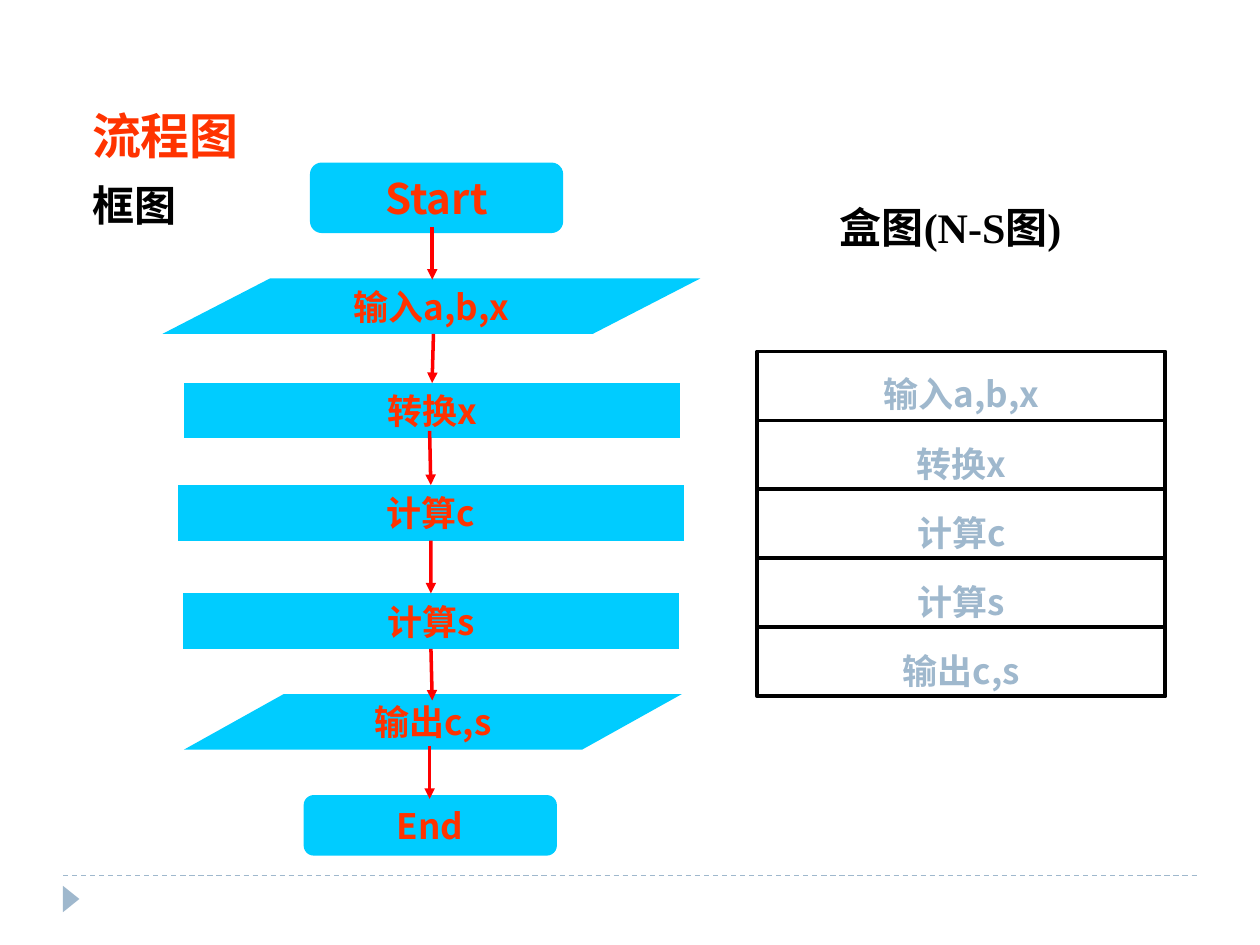
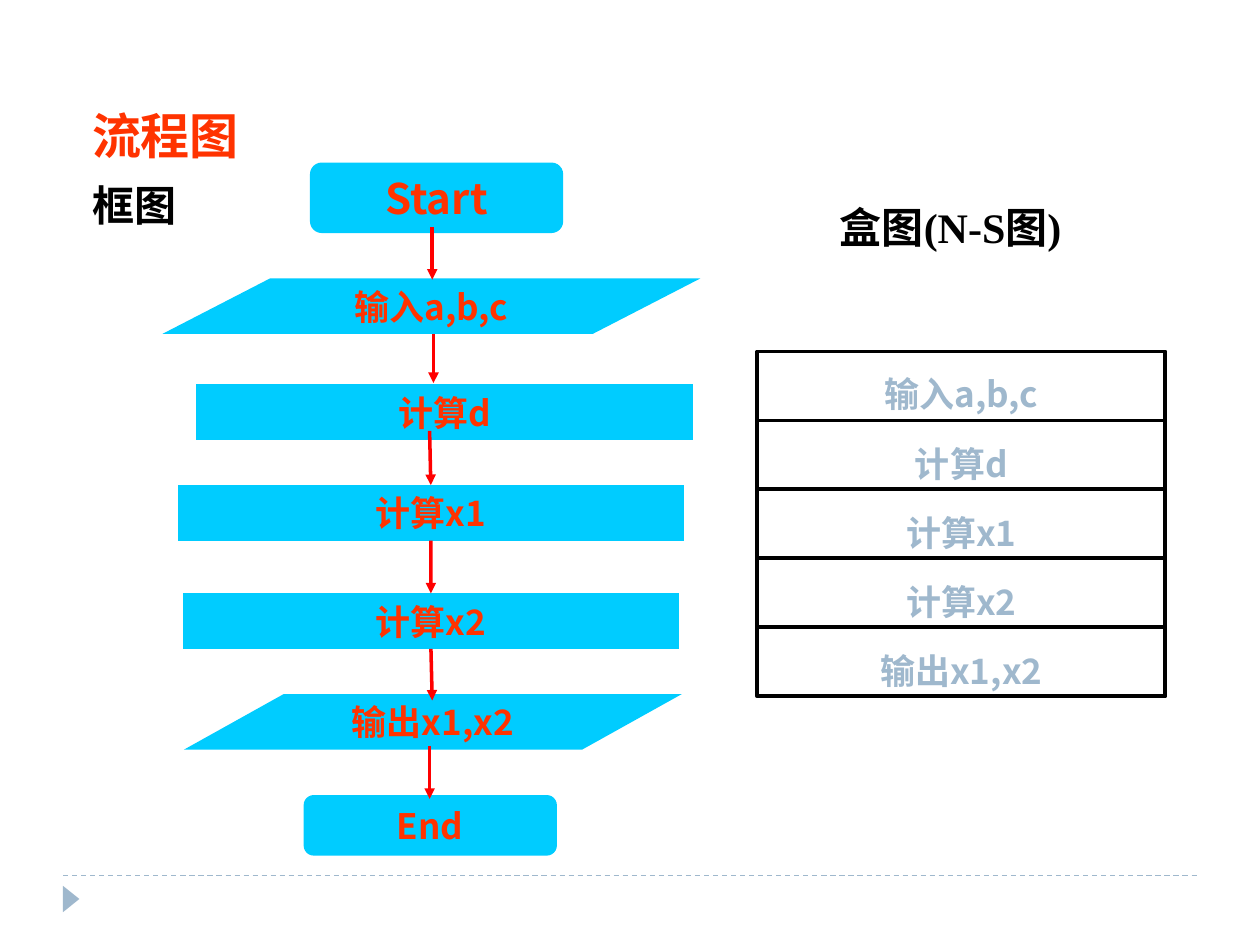
from pptx import Presentation
from pptx.dml.color import RGBColor
from pptx.enum.dml import MSO_LINE_DASH_STYLE as Dash
from pptx.enum.shapes import MSO_CONNECTOR, MSO_SHAPE as Shape
from pptx.enum.text import MSO_ANCHOR as Anchor, MSO_AUTO_SIZE as AutoSize, PP_ALIGN as Align
from pptx.oxml.ns import qn
from pptx.util import Pt
from lxml import etree

CYAN = RGBColor(0x00, 0xCC, 0xFF)
ORANGE = RGBColor(0xFF, 0x33, 0x00)
RED = RGBColor(0xFF, 0x00, 0x00)
MIST = RGBColor(0x9F, 0xB8, 0xCD)
BLACK = RGBColor(0x00, 0x00, 0x00)

SANS = "Noto Sans CJK SC"
SERIF = "Times New Roman"

HEADING = {"size": Pt(28), "name": SERIF, "bold": True, "color": ORANGE}
SUBHEADING = {**HEADING, "size": Pt(24), "color": BLACK}
STEP = {"size": Pt(20), "name": SANS, "bold": True, "color": ORANGE}
START = {**STEP, "size": Pt(24)}
ROW = {**STEP, "color": MIST}

ROW_LEFT, ROW_TOP, ROW_WIDTH, ROW_HEIGHT = 432.7, 200.9, 233.3, 39.4
JOIN_TOLERANCE = Pt(2)

STEP_PLACES = [
    (Shape.FLOWCHART_ALTERNATE_PROCESS, 177.1, 92.9, 144.7, 40.3),
    (Shape.FLOWCHART_DATA, 92.9, 159.1, 307.4, 31.7),
    (Shape.FLOWCHART_PROCESS, 105.1, 218.9, 283.7, 31.7),
    (Shape.FLOWCHART_PROCESS, 101.5, 277.2, 289.4, 31.7),
    (Shape.FLOWCHART_PROCESS, 104.4, 339.1, 283.7, 31.7),
    (Shape.FLOWCHART_DATA, 105.1, 396.7, 284.4, 31.7),
    (Shape.FLOWCHART_ALTERNATE_PROCESS, 173.5, 454.3, 144.7, 34.6),
]
ARROWS = [
    (247, 129.6, 159.8), (247.7, 190.8, 218.9), (245.5, 246.2, 276.5),
    (247, 308.2, 337.7), (247, 370.1, 400.3), (245.5, 426.2, 456.5),
]
PROGRAMS = [
    (["输入a,b,x", "转换x", "计算c", "计算s", "输出c,s"], (0, 0)),
    (["输入a,b,c", "计算d", "计算x1", "计算x2", "输出x1,x2"], (7.2, 0.7)),
]


def add_span(para, text, style):
    """Add a run of text, styled from a dict of font values."""
    span = para.add_run()
    span.text = text
    for key, value in style.items():
        if key == "color":
            span.font.color.rgb = value
        else:
            setattr(span.font, key, value)
    east_asian = etree.SubElement(span._r.get_or_add_rPr(), qn("a:ea"))
    east_asian.set("typeface", SANS)


def write_text(box, lines, align=Align.CENTER, anchor=Anchor.MIDDLE, spacing=1.0):
    """Fill a shape with one paragraph for each (text, style) pair."""
    frame = box.text_frame
    layout = {"word_wrap": True, "auto_size": AutoSize.NONE, "vertical_anchor": anchor,
              "margin_left": Pt(7.2), "margin_right": Pt(7.2),
              "margin_top": Pt(3.6), "margin_bottom": Pt(3.6)}
    for key, value in layout.items():
        setattr(frame, key, value)
    for number, (text, style) in enumerate(lines):
        para = frame.add_paragraph() if number else frame.paragraphs[0]
        for key, value in {"alignment": align, "line_spacing": spacing,
                           "space_before": Pt(0)}.items():
            setattr(para, key, value)
        add_span(para, text, style)


def add_box(page, kind, left, top, width, height, fill=None, border=None):
    """Add a preset shape with an optional fill and border."""
    box = page.shapes.add_shape(kind, Pt(left), Pt(top), Pt(width), Pt(height))
    box.shadow.inherit = False
    if fill is None:
        box.fill.background()
    else:
        box.fill.solid()
        box.fill.fore_color.rgb = fill
    if border is None:
        box.line.fill.background()
    else:
        box.line.color.rgb = border
        box.line.width = Pt(2.25)
    return box


def add_line(page, left, top, right, bottom, color, width):
    """Add a straight line without a shadow."""
    line = page.shapes.add_connector(
        MSO_CONNECTOR.STRAIGHT, Pt(left), Pt(top), Pt(right), Pt(bottom))
    line.line.color.rgb = color
    line.line.width = Pt(width)
    etree.SubElement(line._element.spPr, qn("a:effectLst"))
    return line


def touches(box, x, y, edge):
    """Tell whether a point lies at the middle of a rectangle's edge."""
    return (box.auto_shape_type == Shape.FLOWCHART_PROCESS
            and abs(box.left + box.width / 2 - x) < JOIN_TOLERANCE
            and abs(edge - y) < JOIN_TOLERANCE)


def add_arrow(page, x, top, bottom, source, target):
    """Add a downward arrow and join it to the rectangles it meets."""
    arrow = add_line(page, x, top, x, bottom, RED, 2)
    etree.SubElement(arrow.line._get_or_add_ln(), qn("a:tailEnd"), type="triangle")
    if touches(source, Pt(x), Pt(top), source.top + source.height):
        arrow.begin_connect(source, 2)
    if touches(target, Pt(x), Pt(bottom), target.top):
        arrow.end_connect(target, 0)


def add_footer(page):
    """Add the dashed rule and the small marker below it."""
    rule = add_line(page, 36, 500.4, 684, 500.4, MIST, 0.75)
    rule.line.dash_style = Dash.DASH
    marker = add_box(page, Shape.ISOSCELES_TRIANGLE, 33.1, 509, 15.1, 9.4, fill=MIST)
    marker.rotation = 90


def add_headings(page):
    """Set the title with its subtitle and the heading of the box diagram."""
    title = page.shapes.title
    for key, value in {"left": 45.4, "top": 46.8, "width": 126, "height": 88.6}.items():
        setattr(title, key, Pt(value))
    write_text(title, [("流程图", HEADING), ("框图", SUBHEADING)],
               Align.LEFT, Anchor.TOP, 1.3)
    heading = page.shapes.add_textbox(Pt(462.2), Pt(100.1), Pt(162), Pt(47.5))
    write_text(heading, [("盒图(N-S图)", SUBHEADING)], anchor=Anchor.TOP, spacing=1.4)


def add_flowchart(page, steps, first_shift):
    """Add the flowchart; first_shift moves its first process box."""
    boxes = []
    for number, (text, place) in enumerate(zip(["Start", *steps, "End"], STEP_PLACES)):
        kind, left, top, width, height = place
        if number == 2:
            left, top = left + first_shift[0], top + first_shift[1]
        box = add_box(page, kind, left, top, width, height, fill=CYAN)
        write_text(box, [(text, STEP if number else START)])
        boxes.append(box)
    for arrow, source, target in zip(ARROWS, boxes, boxes[1:]):
        add_arrow(page, *arrow, source, target)


def add_box_diagram(page, steps):
    """Add the stacked rows of the N-S diagram."""
    for number, text in enumerate(steps):
        row = add_box(page, Shape.FLOWCHART_PROCESS, ROW_LEFT,
                      ROW_TOP + number * ROW_HEIGHT, ROW_WIDTH, ROW_HEIGHT, border=BLACK)
        write_text(row, [(text, ROW)], spacing=1.4 if number else 1.35)


def main():
    """Build one slide for each program."""
    deck = Presentation()
    deck.slide_width, deck.slide_height = Pt(720), Pt(540)
    for steps, first_shift in PROGRAMS:
        page = deck.slides.add_slide(deck.slide_layouts[5])
        add_footer(page)
        add_headings(page)
        add_flowchart(page, steps, first_shift)
        add_box_diagram(page, steps)
    deck.save("out.pptx")


if __name__ == "__main__":
    main()
